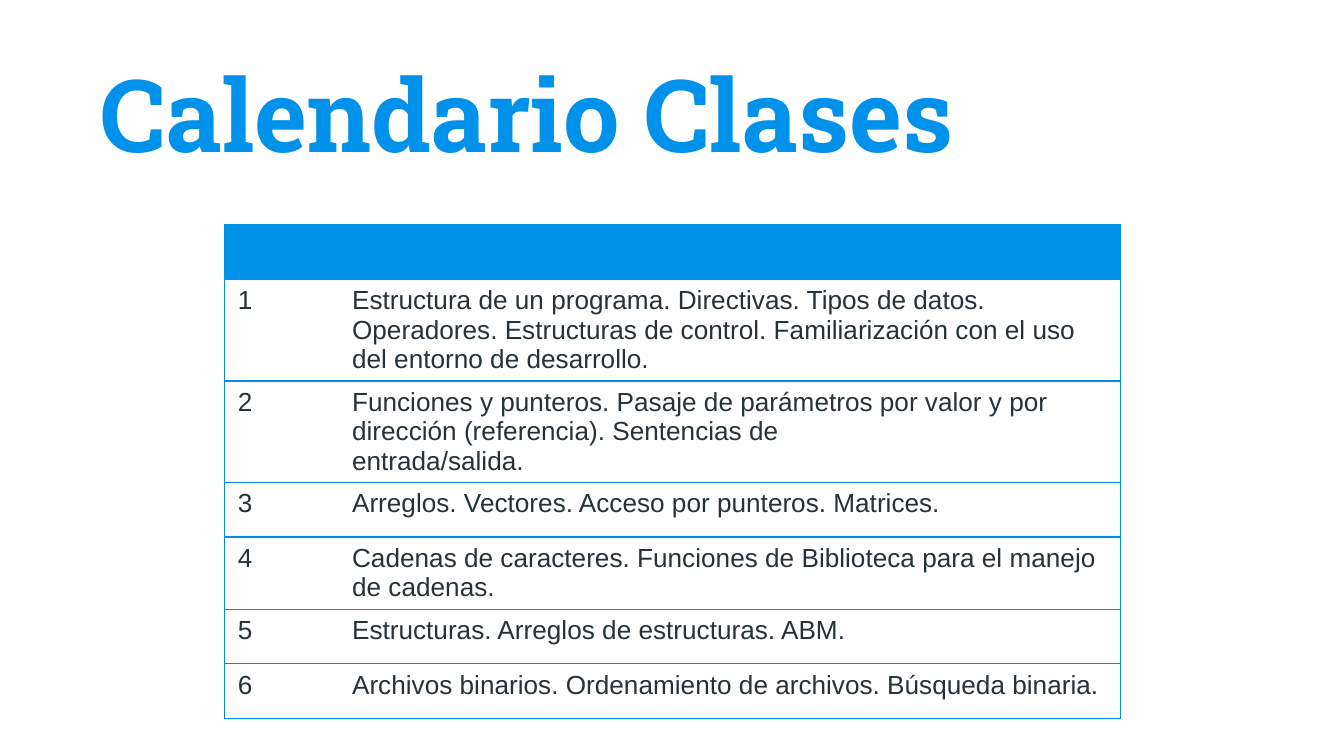
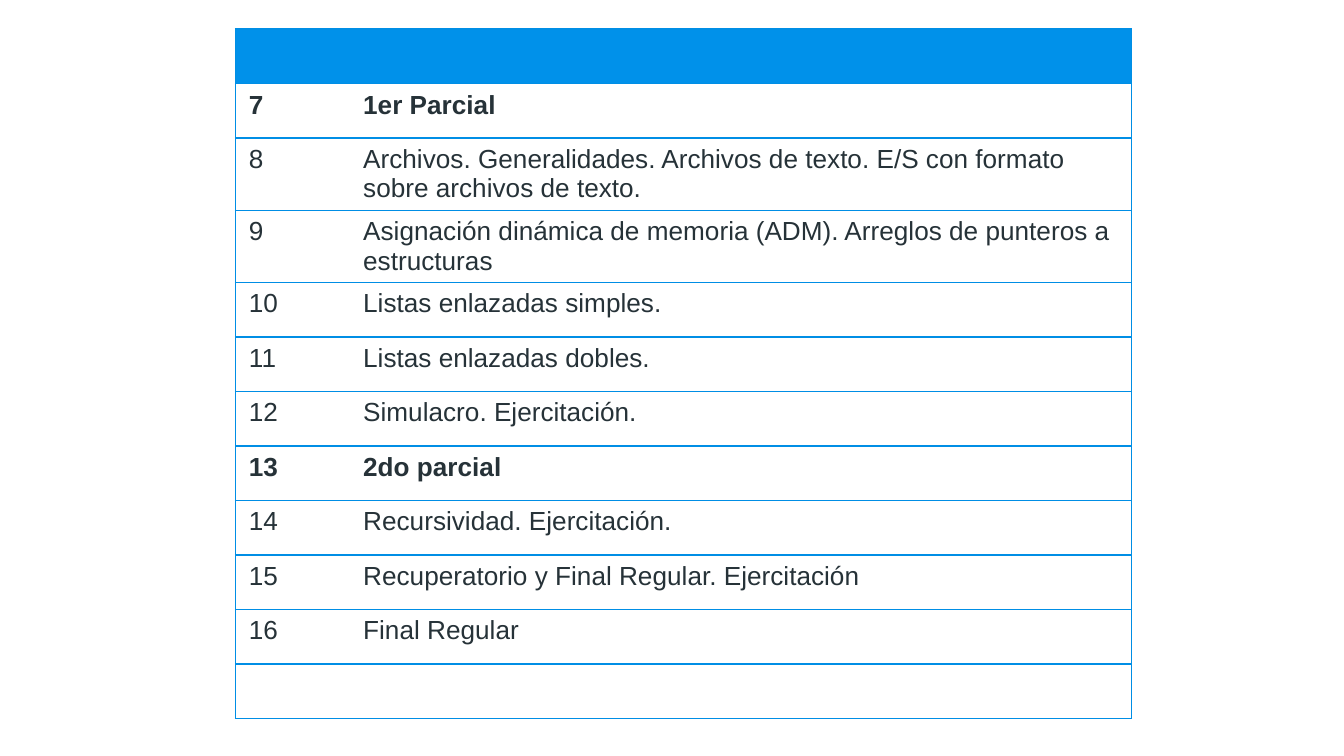
from lxml import etree
from pptx import Presentation
from pptx.dml.color import RGBColor
from pptx.enum import text
from pptx.oxml import ns
from pptx.util import Cm, Pt

# Shared style
HEADER_BLUE = RGBColor(0x00, 0x91, 0xEA)
BORDER_BLUE = RGBColor(0x00, 0x8E, 0xE5)
INK = RGBColor(0x26, 0x32, 0x38)
TITLE_FONT, BODY_FONT = "Roboto Slab", "Arial"
BORDER_WIDTH = Pt(0.75)
COLUMN_WIDTHS = (Cm(2.16), Cm(14.78))
ROW_HEIGHT = Cm(1.03)
TITLE_ONLY, BLANK = 5, 6

# Class number and topics
FIRST_CLASSES = [
    ("1", "Estructura de un programa. Directivas. Tipos de datos. Operadores. "
          "Estructuras de control. Familiarización con el uso del entorno de desarrollo."),
    ("2", "Funciones y punteros. Pasaje de parámetros por valor y por dirección "
          "(referencia). Sentencias de\nentrada/salida."),
    ("3", "Arreglos. Vectores. Acceso por punteros. Matrices."),
    ("4", "Cadenas de caracteres. Funciones de Biblioteca para el manejo de cadenas."),
    ("5", "Estructuras. Arreglos de estructuras. ABM."),
    ("6", "Archivos binarios. Ordenamiento de archivos. Búsqueda binaria."),
]
LATER_CLASSES = [
    ("7", "1er Parcial"),
    ("8", "Archivos. Generalidades. Archivos de texto. E/S con formato sobre "
          "archivos de texto."),
    ("9", "Asignación dinámica de memoria (ADM). Arreglos de punteros a estructuras"),
    ("10", "Listas enlazadas simples."),
    ("11", "Listas enlazadas dobles."),
    ("12", "Simulacro. Ejercitación."),
    ("13", "2do parcial"),
    ("14", "Recursividad. Ejercitación."),
    ("15", "Recuperatorio y Final Regular. Ejercitación"),
    ("16", "Final Regular"),
    ("", ""),
]
EXAM_CLASSES = {"7", "13"}


def add_title(slide, wording):
    title = slide.shapes.title
    title.left, title.top, title.width, title.height = Cm(1.65), Cm(1.55), Cm(23.22), Cm(1.96)
    frame = title.text_frame
    frame.text = wording
    frame.word_wrap = True
    frame.auto_size = text.MSO_AUTO_SIZE.NONE
    frame.vertical_anchor = text.MSO_ANCHOR.BOTTOM
    frame.margin_left = frame.margin_right = Cm(0.25)
    frame.margin_top = frame.margin_bottom = Cm(0.25)
    heading = frame.paragraphs[0]
    heading.alignment = text.PP_ALIGN.LEFT
    heading.font.name, heading.font.size = TITLE_FONT, Pt(54)
    heading.font.bold = True
    heading.font.color.rgb = HEADER_BLUE


def set_borders(cell, visible_edges):
    """Draw the named edges (L, R, T, B) and hide the others."""
    properties = cell._tc.get_or_add_tcPr()
    for edge in "LRTB":
        line = etree.SubElement(properties, ns.qn(f"a:ln{edge}"), w=str(BORDER_WIDTH))
        if edge in visible_edges:
            fill = etree.SubElement(line, ns.qn("a:solidFill"))
            etree.SubElement(fill, ns.qn("a:srgbClr"), val=str(BORDER_BLUE))
        else:
            etree.SubElement(line, ns.qn("a:noFill"))


def fill_cell(cell, wording, bold):
    cell.text_frame.text = wording
    for paragraph in cell.text_frame.paragraphs:
        paragraph.font.name, paragraph.font.size = BODY_FONT, Pt(14)
        paragraph.font.bold = bold
        paragraph.font.color.rgb = INK


def add_calendar(slide, left, top, classes):
    rows = [("", "")] + classes  # blank header band first
    calendar = slide.shapes.add_table(
        len(rows), len(COLUMN_WIDTHS), left, top,
        sum(COLUMN_WIDTHS), ROW_HEIGHT * len(rows)).table
    calendar.first_row = calendar.horz_banding = False
    for column, width in zip(calendar.columns, COLUMN_WIDTHS):
        column.width = width
    for row_index, entry in enumerate(rows):
        for column_index, wording in enumerate(entry):
            cell = calendar.cell(row_index, column_index)
            fill_cell(cell, wording, entry[0] in EXAM_CLASSES)
            # Outer frame and row rules, no line between the columns
            set_borders(cell, "TBL" if column_index == 0 else "TBR")
            if row_index == 0:
                cell.fill.solid()
                cell.fill.fore_color.rgb = HEADER_BLUE
            else:
                cell.fill.background()


def main():
    deck = Presentation()
    deck.slide_width, deck.slide_height = Cm(25.4), Cm(14.29)

    # First classes, with the title
    opening = deck.slides.add_slide(deck.slide_layouts[TITLE_ONLY])
    add_calendar(opening, Cm(4.24), Cm(4.25), FIRST_CLASSES)
    add_title(opening, "Calendario Clases")

    # Remaining classes and exams
    remaining = deck.slides.add_slide(deck.slide_layouts[BLANK])
    add_calendar(remaining, Cm(4.45), Cm(0.55), LATER_CLASSES)

    deck.save("out.pptx")


if __name__ == "__main__":
    main()
